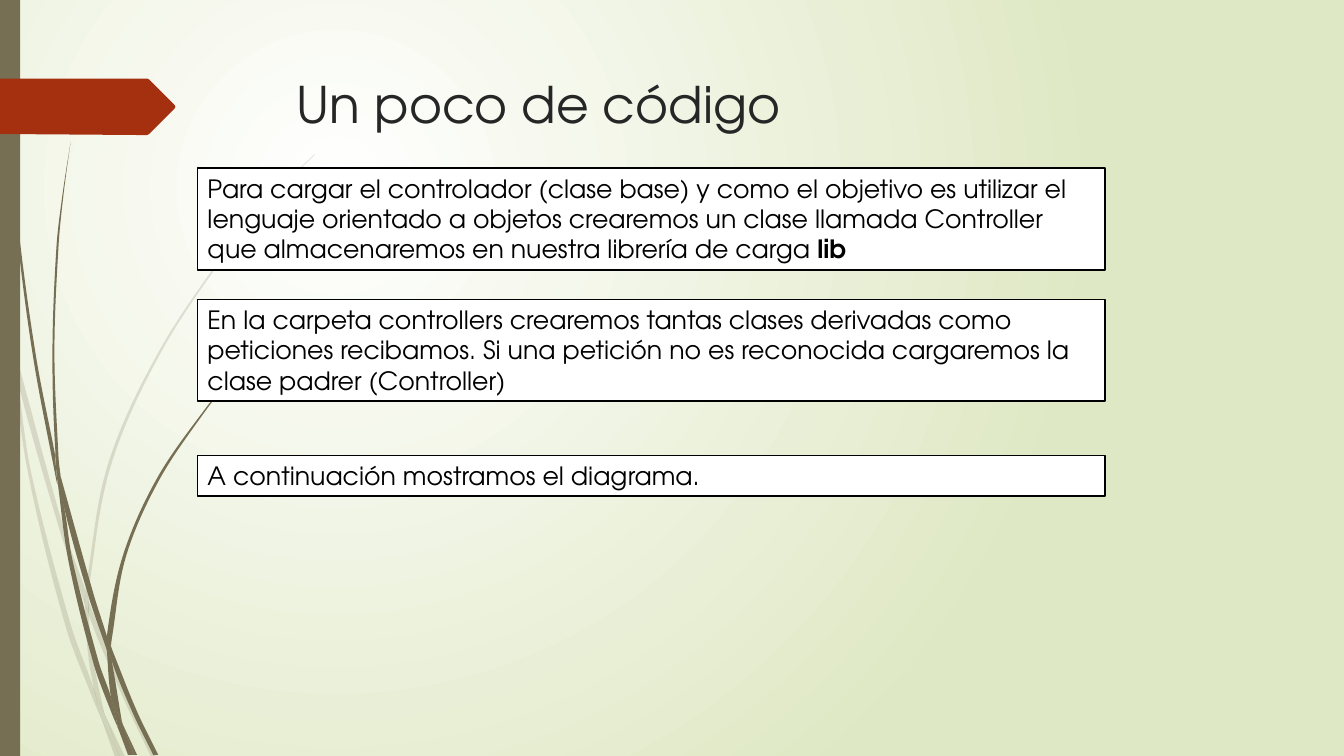
from lxml.etree import SubElement
from pptx import Presentation
from pptx.dml.color import RGBColor as RGB
from pptx.enum.shapes import MSO_SHAPE as SHAPE
from pptx.enum.text import MSO_AUTO_SIZE as AUTO_SIZE, MSO_ANCHOR as ANCHOR
from pptx.oxml.ns import qn
from pptx.util import Pt

PX = 9144  # EMU, a hundredth of an inch
WIDTH, HEIGHT = 1333, 750
FONT = "TeX Gyre Adventor"
COLORS = {
    "glow": "FFFFFF", "meadow": "DFE8C4", "stem": "766F54", "ribbon": "A53010",
    "title": "262626", "ink": "000000", "paper": "FFFFFF",
}

# Each blade of grass is a left and a right edge, both listed from top to bottom.
PALE_BLADES = [
    ([(0, 299), (10, 344), (11, 350)], [(0, 282), (9, 322), (11, 350)]),
    ([(14, 345), (17, 376), (58, 522), (84, 599)], [(14, 345), (62, 520), (85, 586)]),
    ([(88, 596), (88, 610), (123, 694), (150, 751)],
     [(88, 596), (92, 607), (127, 692), (155, 751)]),
    ([(105, 711), (119, 751)], [(105, 711), (124, 751)]),
    ([(11, 350), (28, 470), (65, 621), (92, 693), (101, 714)],
     [(11, 350), (17, 376), (31, 469), (70, 619), (93, 683), (99, 707), (101, 714)]),
    ([(84, 599), (87, 646), (93, 683), (96, 692), (105, 711)],
     [(84, 599), (88, 608), (88, 610), (91, 646), (103, 706), (105, 711)]),
    ([(312, 153), (289, 175), (268, 197), (228, 244), (158, 348), (107, 461),
      (85, 584), (85, 586), (88, 596)],
     [(312, 154), (290, 175), (268, 198), (229, 245), (160, 349), (110, 462),
      (88, 584), (88, 596)]),
    ([(101, 714), (114, 751)], [(101, 714), (119, 751)]),
    ([(85, 586), (84, 599), (88, 608)], [(85, 586), (88, 596), (88, 610)]),
    ([(93, 683), (99, 707), (101, 714), (119, 751)],
     [(93, 683), (96, 692), (105, 711), (119, 751)]),
]
DARK_BLADES = [
    ([(3, 0), (4, 48), (7, 110), (17, 233), (33, 355), (56, 477), (57, 481)],
     [(4, 0), (5, 48), (8, 109), (19, 232), (36, 355), (55, 453), (55, 457), (57, 481)]),
    ([(60, 472), (64, 505), (88, 592), (106, 645)],
     [(60, 472), (93, 590), (106, 631), (106, 633)]),
    ([(110, 641), (111, 656), (132, 708), (152, 749)],
     [(110, 641), (113, 649), (136, 706), (157, 749)]),
    ([(57, 477), (68, 557), (93, 659), (111, 708), (117, 722)],
     [(57, 477), (64, 505), (72, 556), (98, 657), (110, 691), (116, 717), (117, 722)]),
    ([(70, 141), (62, 193), (56, 245), (52, 349), (55, 449), (60, 472)],
     [(70, 141), (63, 193), (58, 245), (54, 349), (58, 453), (60, 472)]),
    ([(122, 719), (133, 749)], [(122, 719), (136, 749)]),
    ([(55, 449), (55, 453), (57, 477), (64, 505)], [(55, 449), (60, 472), (64, 505)]),
    ([(260, 344), (245, 358), (231, 373), (204, 405), (156, 474), (122, 551),
      (106, 631), (110, 641)],
     [(260, 344), (245, 359), (231, 374), (205, 406), (158, 476), (125, 552),
      (111, 633), (110, 641)]),
    ([(117, 722), (127, 749)], [(117, 722), (131, 749)]),
    ([(106, 645), (110, 691), (116, 706), (122, 719)],
     [(106, 645), (109, 651), (111, 656), (121, 716), (122, 719)]),
    ([(106, 631), (106, 645), (109, 651), (111, 656)], [(106, 631), (110, 641), (111, 656)]),
    ([(110, 691), (116, 717), (117, 722), (130, 749)],
     [(110, 691), (116, 706), (122, 719), (133, 749)]),
]
RIBBON = [(0, 78), (146, 78), (148, 79), (173, 104), (174, 106), (173, 108),
          (148, 133), (146, 134), (136, 134), (0, 133)]

NOTES = [
    (297, 101, [("En la carpeta controllers crearemos tantas clases derivadas como peticiones "
                 "recibamos. Si una petición no es reconocida cargaremos la clase padrer "
                 "(Controller)", False)]),
    (167, 101, [("Para cargar el controlador (clase base) y como el objetivo es utilizar el "
                 "lenguaje orientado a objetos crearemos un clase llamada Controller que "
                 "almacenaremos en nuestra librería de carga ", False), ("lib", True)]),
    (452, 40, [("A continuación mostramos el diagrama.", False)]),
]


def color(name):
    return RGB.from_string(COLORS[name])


def paint_background(slide):
    fill = slide.background.fill
    fill.gradient()
    for stop, name in zip(fill.gradient_stops, ("glow", "meadow")):
        stop.color.rgb = color(name)
    gradient = slide.element.find(".//" + qn("a:gradFill"))
    gradient.remove(gradient.find(qn("a:lin")))
    circle = SubElement(gradient, qn("a:path"), {"path": "circle"})
    SubElement(circle, qn("a:fillToRect"), l="50000", t="50000", r="100000", b="100000")


def bezier_points(edge):
    """Return the knots of an edge with two control points between neighbours."""
    slopes = []
    for i in range(len(edge)):
        (x0, y0), (x1, y1) = edge[max(i - 1, 0)], edge[min(i + 1, len(edge) - 1)]
        slopes.append((x1 - x0) / (y1 - y0))
    points = [edge[0]]
    for (x0, y0), (x1, y1), m0, m1 in zip(edge, edge[1:], slopes, slopes[1:]):
        third = (y1 - y0) / 3
        points += [(x0 + m0 * third, y0 + third), (x1 - m1 * third, y1 - third), (x1, y1)]
    return points


def paint(shape, fill_name, opacity=100):
    shape.shadow.inherit = False
    shape.fill.solid()
    shape.fill.fore_color.rgb = color(fill_name)
    shape.line.fill.background()
    if opacity < 100:
        tint = shape.element.spPr.find(".//" + qn("a:srgbClr"))
        SubElement(tint, qn("a:alpha"), val=str(opacity * 1000))


def add_outline(slide, points, fill_name, opacity=100):
    start, *rest = [(x * PX, y * PX) for x, y in points]
    builder = slide.shapes.build_freeform(*start)
    builder.add_line_segments(rest, close=True)
    outline = builder.convert_to_shape()
    paint(outline, fill_name, opacity)
    return outline


def bend(outline):
    """Turn every three straight segments into one cubic curve."""
    segments = list(outline.element.iter(qn("a:lnTo")))
    for first, second, third in zip(*[iter(segments)] * 3):
        first.tag = qn("a:cubicBezTo")
        for segment in (second, third):
            first.append(segment[0])
            segment.getparent().remove(segment)


def add_blades(slide, blades, opacity=100):
    for left, right in blades:
        down, up = bezier_points(left), bezier_points(right)[::-1]
        foot = [] if down[-1] == up[0] else [down[-1], up[0], up[0]]
        bend(add_outline(slide, down + foot + up[1:], "stem", opacity))


def add_text(slide, box, pieces, size, color_name):
    """Add a text box whose pieces are pairs of wording and boldness."""
    text_box = slide.shapes.add_textbox(*(length * PX for length in box))
    frame = text_box.text_frame
    frame.word_wrap = True
    frame.vertical_anchor = ANCHOR.TOP
    for wording, bold in pieces:
        run = frame.paragraphs[0].add_run()
        run.text = wording
        run.font.name, run.font.size, run.font.bold = FONT, Pt(size), bold
        run.font.color.rgb = color(color_name)
    return text_box


def add_note(slide, top, height, pieces):
    note = add_text(slide, (196, top, 900, height), pieces, 18, "ink")
    note.text_frame.auto_size = AUTO_SIZE.SHAPE_TO_FIT_TEXT
    note.fill.solid()
    note.fill.fore_color.rgb = color("paper")
    note.line.color.rgb = color("ink")
    note.line.width = Pt(1.25)


def main():
    deck = Presentation()
    deck.slide_width, deck.slide_height = WIDTH * PX, HEIGHT * PX
    slide = deck.slides.add_slide(deck.slide_layouts[6])
    paint_background(slide)
    add_blades(slide, PALE_BLADES, opacity=20)
    add_blades(slide, DARK_BLADES)
    side_bar = slide.shapes.add_shape(SHAPE.RECTANGLE, 0, 0, 20 * PX, HEIGHT * PX)
    paint(side_bar, "stem")
    add_outline(slide, RIBBON, "ribbon")
    add_text(slide, (284, 68, 975, 140), [("Un poco de código", False)], 36, "title")
    for top, height, pieces in NOTES:
        add_note(slide, top, height, pieces)
    deck.save("out.pptx")


if __name__ == "__main__":
    main()
